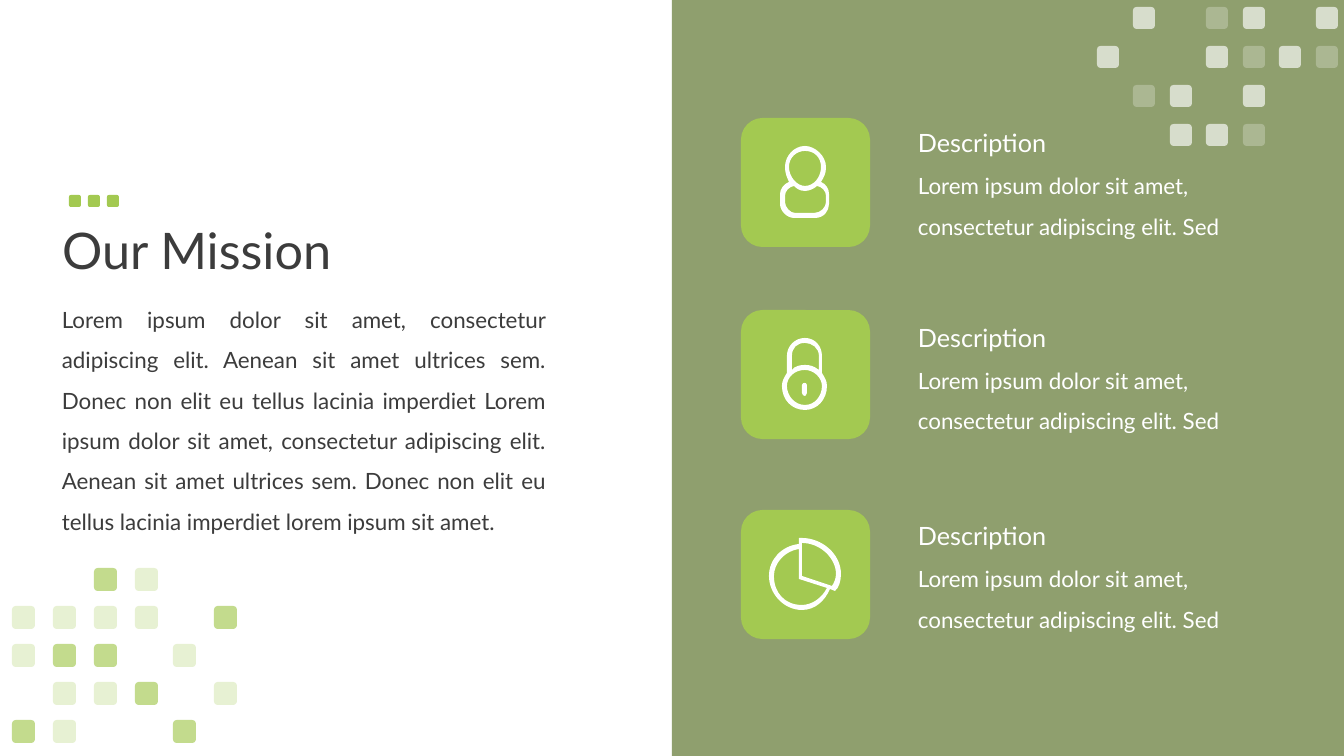
from pptx import Presentation
from pptx.dml.color import RGBColor
from pptx.enum.shapes import MSO_SHAPE
from pptx.enum.text import MSO_ANCHOR, MSO_AUTO_SIZE, PP_ALIGN
from pptx.oxml.ns import qn
from pptx.util import Emu, Pt
from lxml import etree

RECT, ROUND = MSO_SHAPE.RECTANGLE, MSO_SHAPE.ROUNDED_RECTANGLE
LEFT, FULL = PP_ALIGN.LEFT, PP_ALIGN.JUSTIFY
TOP, MID = MSO_ANCHOR.TOP, MSO_ANCHOR.MIDDLE
FIXED = MSO_AUTO_SIZE.NONE
WIDE, HIGH = 1344, 756
SCALE = 12192000 / WIDE
HUES = {"ink": "3C3C3C", "white": "FFFFFF", "lime": "A3C951", "moss": "546C21"}
ALPHA = {"#": 65, "o": 25}

BODY = ("Lorem ipsum dolor sit amet, consectetur adipiscing elit. Aenean sit amet "
        "ultrices sem. Donec non elit eu tellus lacinia imperdiet Lorem ipsum dolor "
        "sit amet, consectetur adipiscing elit. Aenean sit amet ultrices sem. Donec "
        "non elit eu tellus lacinia imperdiet lorem ipsum sit amet.")
HEAD = "Description"
NOTE = "Lorem ipsum dolor sit amet, consectetur adipiscing elit. Sed"

USER = [
    [(41, 36), (44, 31, 46, 28, 46, 21), (46, 10, 35, 0, 25, 0), (14, 0, 5, 10, 5, 21),
     (5, 28, 7, 31, 9, 36), (4, 38, 0, 43, 0, 48), (0, 58), (0, 65, 7, 72, 14, 72),
     (35, 72), (44, 72, 49, 65, 49, 58), (49, 48), (49, 43, 46, 38, 41, 36)],
    [(9, 21), (9, 11, 17, 5, 25, 5), (34, 5, 41, 11, 41, 21),
     (41, 31, 34, 40, 25, 40), (17, 40, 9, 31, 9, 21)],
    [(46, 56), (46, 61, 41, 67, 34, 67), (15, 67), (10, 67, 5, 61, 5, 56), (5, 50),
     (5, 45, 9, 41, 14, 40), (17, 43, 20, 45, 25, 45), (29, 45, 34, 43, 37, 40),
     (42, 41, 46, 45, 46, 50)],
]
LOCK = [
    [(23, 45), (22, 45, 20, 45, 20, 47), (20, 55), (20, 57, 22, 58, 23, 58),
     (23, 58, 25, 57, 25, 55), (25, 47), (25, 45, 23, 45, 23, 45)],
    [(40, 35), (40, 18), (40, 8, 33, 0, 23, 0), (13, 0, 5, 8, 5, 18), (5, 35),
     (2, 40, 0, 43, 0, 48), (0, 62, 10, 72, 23, 72), (35, 72, 45, 62, 45, 48),
     (45, 43, 43, 40, 40, 35)],
    [(10, 18), (10, 10, 15, 5, 23, 5), (30, 5, 37, 10, 37, 18), (37, 32),
     (32, 28, 28, 27, 23, 27), (18, 27, 13, 28, 10, 32)],
    [(23, 67), (13, 67, 5, 58, 5, 48), (5, 39, 13, 32, 23, 32),
     (32, 32, 40, 40, 40, 48), (40, 58, 33, 67, 23, 67)],
]
CHART = [
    [(33, 0), (30, 0), (30, 6), (13, 8, 0, 21, 0, 38), (0, 56, 15, 72, 33, 72),
     (46, 72, 56, 63, 61, 51), (66, 53), (70, 50, 72, 43, 72, 36),
     (72, 16, 53, 0, 33, 0)],
    [(33, 67), (16, 67, 5, 55, 5, 38), (5, 25, 16, 13, 30, 11), (30, 41), (58, 50),
     (53, 60, 43, 67, 33, 67)],
    [(63, 48), (33, 38), (33, 5), (51, 5, 67, 20, 67, 36), (67, 41, 65, 45, 63, 48)],
]
ITEMS = [(118, 122, 780, USER), (310, 317, 782, LOCK), (510, 515, 769, CHART)]


def px(num):
    return Emu(round(num * SCALE))


def pairs(seg):
    return [(px(x), px(y)) for x, y in zip(seg[::2], seg[1::2])]


def bend(shape, lines):
    path = next(shape.element.iter(qn("a:path")))
    steps = iter(path.findall(qn("a:lnTo")))
    for line in lines:
        for seg in line[1:]:
            trio = [next(steps) for num in seg[::2]]
            if len(trio) == 3:
                curve = etree.Element(qn("a:cubicBezTo"))
                trio[0].addprevious(curve)
                for step in trio:
                    curve.append(step[0])
                    path.remove(step)


def write(frame, text, size=16, hue="ink", align=LEFT, space=1.0, anchor=TOP):
    frame.word_wrap = True
    frame.auto_size = FIXED
    frame.vertical_anchor = anchor
    para = frame.paragraphs[0]
    para.alignment = align
    para.line_spacing = space
    run = para.add_run()
    run.text = text
    run.font.name = "Lato"
    run.font.size = Pt(size)
    run.font.color.rgb = RGBColor.from_string(HUES[hue])


class Deck:
    def __init__(self):
        self.file = Presentation()
        self.file.slide_width, self.file.slide_height = px(WIDE), px(HIGH)
        self.slide = self.file.slides.add_slide(self.file.slide_layouts[5])
        self.shapes = self.slide.shapes

    def paint(self, shape, hue, alpha=100):
        shape.shadow.inherit = False
        shape.line.fill.background()
        shape.fill.solid()
        shape.fill.fore_color.rgb = RGBColor.from_string(HUES[hue])
        if alpha < 100:
            color = next(shape.element.spPr.iter(qn("a:srgbClr")))
            etree.SubElement(color, qn("a:alpha")).set("val", str(alpha * 1000))

    def block(self, x, y, w, h, hue, kind=ROUND, alpha=100, host=None):
        shape = (host or self.shapes).add_shape(kind, px(x), px(y), px(w), px(h))
        self.paint(shape, hue, alpha)

    def title(self, x, y, w, h, text, **style):
        box = self.shapes.title
        box.left, box.top, box.width, box.height = px(x), px(y), px(w), px(h)
        write(box.text_frame, text, **style)

    def text(self, x, y, w, h, text, **style):
        box = self.shapes.add_textbox(px(x), px(y), px(w), px(h))
        write(box.text_frame, text, **style)

    def grid(self, cols, rows, marks, size, hue):
        host = self.shapes.add_group_shape().shapes
        for y, row in zip(rows, marks):
            for x, mark in zip(cols, row):
                if mark in ALPHA:
                    self.block(x, y, size, size, hue, alpha=ALPHA[mark], host=host)

    def icon(self, x, y, lines):
        pen = self.shapes.build_freeform(*pairs(lines[0][0])[0], scale=1.0)
        for i, line in enumerate(lines):
            if i:
                pen.move_to(*pairs(line[0])[0])
            spots = [spot for seg in line[1:] for spot in pairs(seg)]
            pen.add_line_segments(spots, close=True)
        shape = pen.convert_to_shape(px(x), px(y))
        bend(shape, lines)
        self.paint(shape, "white")


def main():
    deck = Deck()
    deck.block(672, 0, 672, HIGH, "moss", kind=RECT, alpha=65)
    deck.title(52, 169, 1159, 168, "Our Mission", size=36, space=0.9, anchor=MID)
    deck.text(52, 288, 504, 249, BODY, align=FULL, space=1.5)
    for tile, head, left, lines in ITEMS:
        deck.block(741, tile, 129, 129, "lime")
        deck.text(908, head + 32, 401, 87, NOTE, hue="white", space=1.5)
        deck.text(908, head, 237, 40, HEAD, size=18, hue="white")
        deck.icon(left, tile + 28, lines)
    dots = deck.shapes.add_group_shape().shapes
    for x in range(69, 108, 19):
        deck.block(x, 195, 12, 12, "lime", host=dots)
    deck.grid([1097 + 219 * i // 6 for i in range(7)], range(7, 125, 39),
              [".#.o#.#", "#..#o#o", ".o#.#..", "..##o.."], 22, "white")
    deck.grid([12, 53, 94, 135, 173, 214], range(568, 721, 38),
              ["..#o..", "oooo.#", "o##.o.", ".oo#.o", "#o..#."], 23, "lime")
    deck.file.save("out.pptx")


if __name__ == "__main__":
    main()
